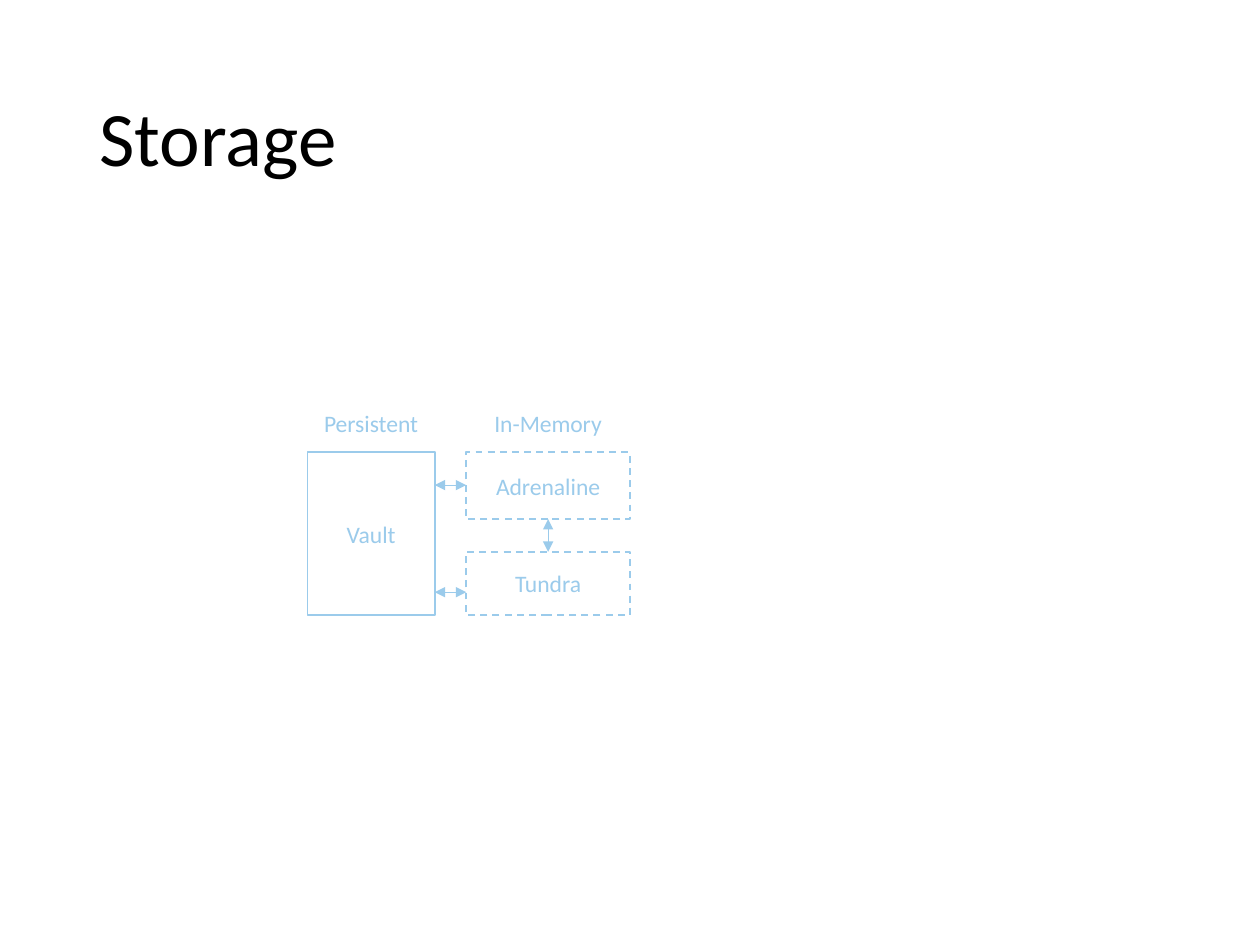
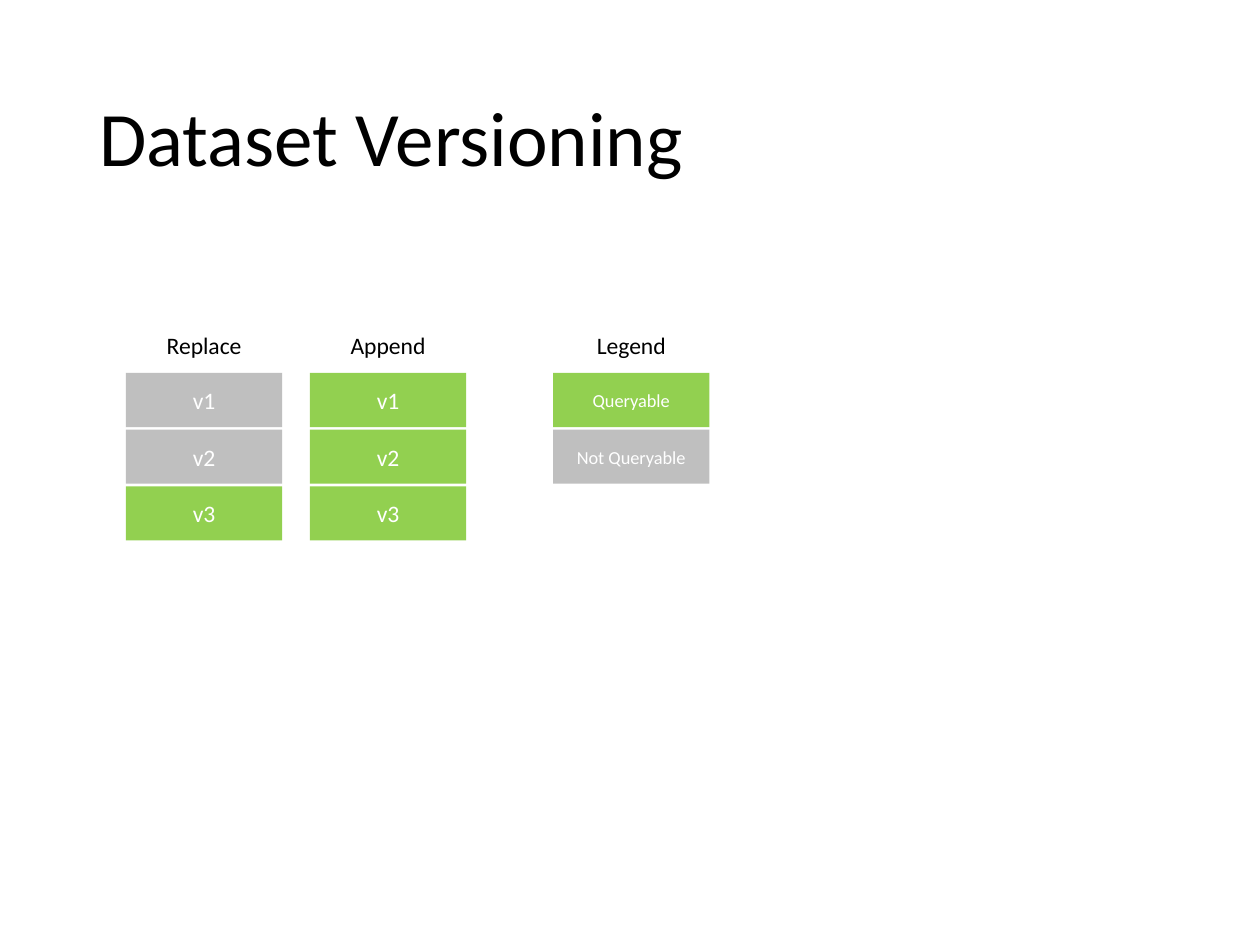
"""Build two slides: storage layers and dataset versioning."""
from lxml import etree
from pptx import Presentation
from pptx import util as u
from pptx.dml.color import RGBColor
from pptx.enum import dml, shapes, text
from pptx.oxml.ns import qn

FONT, LABEL_SIZE, LEGEND_SIZE, TITLE_SIZE = "Calibri", 13.5, 10.5, 44
BLACK, WHITE, SKY, GREEN, GRAY = "000000", "FFFFFF", "9BCBEB", "92D050", "BFBFBF"
WIDTH, HEIGHT = 10, 7.5
TITLE_AREA = (0.69, 0.4, 8.62, 1.45)
HEADING_HEIGHT = 0.33

STORAGE_COLUMNS = {"Persistent": (2.44, 1.01), "In-Memory": (3.7, 1.3)}
STORAGE_HEADING_TOP = 3.2
STORES = [
    ("Vault", "Persistent", 3.59, 1.29, False),
    ("Adrenaline", "In-Memory", 3.59, 0.53, True),
    ("Tundra", "In-Memory", 4.38, 0.5, True),
]
SYNC_LEVELS = [3.85, 4.7]

VERSION_HEADING_TOP, VERSION_TOP = 2.58, 2.96
CELL_WIDTH, CELL_HEIGHT, CELL_PITCH = 1.24, 0.43, 0.45
VERSION_COLUMNS = [
    ("Replace", 1, LABEL_SIZE, [("v1", GRAY), ("v2", GRAY), ("v3", GREEN)]),
    ("Append", 2.46, LABEL_SIZE, [("v1", GREEN), ("v2", GREEN), ("v3", GREEN)]),
    ("Legend", 4.39, LEGEND_SIZE, [("Queryable", GREEN), ("Not Queryable", GRAY)]),
]


def color(value):
    return RGBColor.from_string(value)


def inches(values):
    return [u.Inches(value) for value in values]


def write(box, words, size, ink, align, anchor):
    frame = box.text_frame
    frame.word_wrap = True
    frame.vertical_anchor = anchor
    frame.text = words
    para = frame.paragraphs[0]
    para.alignment = align
    font = para.runs[0].font
    font.name, font.size = FONT, u.Pt(size)
    font.color.rgb = color(ink)
    return para


def add_titled_slide(deck, title):
    slide = deck.slides.add_slide(deck.slide_layouts[6])
    box = slide.shapes.add_textbox(*inches(TITLE_AREA))
    para = write(box, title, TITLE_SIZE, BLACK, text.PP_ALIGN.LEFT, text.MSO_ANCHOR.MIDDLE)
    para.line_spacing = 0.9
    return slide


def add_heading(slide, words, area, ink):
    box = slide.shapes.add_textbox(*inches(area))
    write(box, words, LABEL_SIZE, ink, text.PP_ALIGN.CENTER, text.MSO_ANCHOR.TOP)


def add_block(slide, words, area, fill, ink, size=LABEL_SIZE, outline=None, dashed=False):
    block = slide.shapes.add_shape(shapes.MSO_SHAPE.RECTANGLE, *inches(area))
    block.shadow.inherit = False
    block.fill.solid()
    block.fill.fore_color.rgb = color(fill)
    if outline:
        block.line.color.rgb = color(outline)
        block.line.width = u.Pt(1)
        if dashed:
            block.line.dash_style = dml.MSO_LINE.DASH
    else:
        block.line.fill.background()
    write(block, words, size, ink, text.PP_ALIGN.CENTER, text.MSO_ANCHOR.MIDDLE)


def add_double_arrow(slide, start, end):
    arrow = slide.shapes.add_connector(shapes.MSO_CONNECTOR.STRAIGHT, *inches(start + end))
    arrow.line.color.rgb = color(SKY)
    arrow.line.width = u.Pt(0.5)
    line = arrow.line._get_or_add_ln()
    for tip in ("a:headEnd", "a:tailEnd"):
        etree.SubElement(line, qn(tip), type="triangle")
    etree.SubElement(arrow._element.spPr, qn("a:effectLst"))


def build_storage(deck):
    slide = add_titled_slide(deck, "Storage")
    for name, (left, width) in STORAGE_COLUMNS.items():
        add_heading(slide, name, (left, STORAGE_HEADING_TOP, width, HEADING_HEIGHT), SKY)
    for name, column, top, height, dashed in STORES:
        left, width = STORAGE_COLUMNS[column]
        add_block(slide, name, (left, top, width, height), WHITE, SKY,
                  outline=SKY, dashed=dashed)

    disk_left, disk_width = STORAGE_COLUMNS["Persistent"]
    memory_left, memory_width = STORAGE_COLUMNS["In-Memory"]
    for level in SYNC_LEVELS:
        add_double_arrow(slide, (memory_left, level), (disk_left + disk_width, level))
    upper, lower = STORES[1:]
    middle = memory_left + memory_width / 2
    add_double_arrow(slide, (middle, upper[2] + upper[3]), (middle, lower[2]))


def build_versioning(deck):
    slide = add_titled_slide(deck, "Dataset Versioning")
    for heading, left, size, cells in VERSION_COLUMNS:
        add_heading(slide, heading, (left, VERSION_HEADING_TOP, CELL_WIDTH, HEADING_HEIGHT), BLACK)
        for row, (words, fill) in enumerate(cells):
            top = VERSION_TOP + row * CELL_PITCH
            add_block(slide, words, (left, top, CELL_WIDTH, CELL_HEIGHT), fill, WHITE, size)


def main():
    deck = Presentation()
    deck.slide_width, deck.slide_height = inches((WIDTH, HEIGHT))
    build_storage(deck)
    build_versioning(deck)
    deck.save("out.pptx")


if __name__ == "__main__":
    main()
